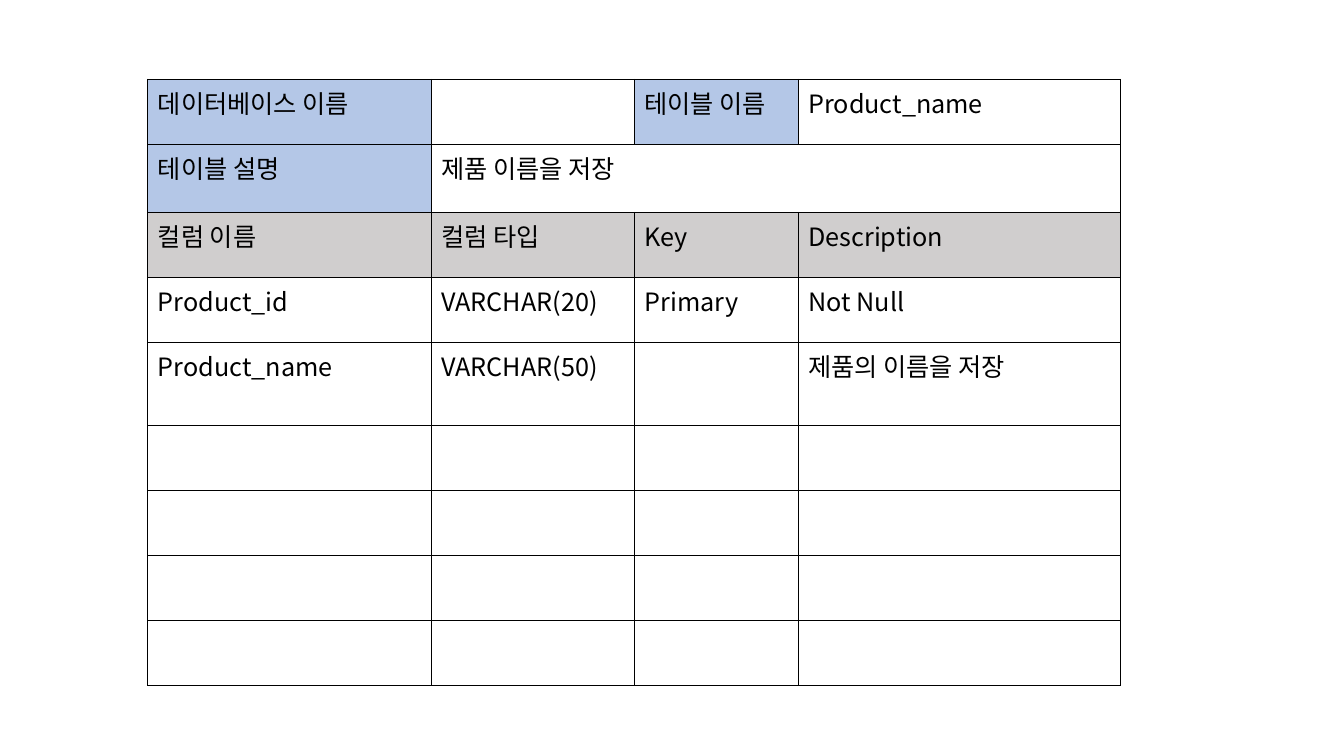
from lxml.etree import SubElement
from pptx import Presentation
from pptx.dml.color import RGBColor as Color
from pptx.oxml.ns import qn
from pptx.util import Inches, Pt

COLORS = {"text": "000000", "border": "000000", "label": "B4C7E7",
          "header": "D0CECE", "plain": "FFFFFF"}
FONT = "Noto Sans CJK KR"

COLUMN_WIDTHS = [21.1, 15.1, 12.2, 24]
ROW_HEIGHTS = [8.6, 9, 8.6, 8.6, 11] + [8.6] * 4
SCHEMA = [
    ["데이터베이스 이름", "", "테이블 이름", "Product_name"],
    ["테이블 설명", "제품 이름을 저장", "", ""],
    ["컬럼 이름", "컬럼 타입", "Key", "Description"],
    ["Product_id", "VARCHAR(20)", "Primary", "Not Null"],
    ["Product_name", "VARCHAR(50)", "", "제품의 이름을 저장"],
] + [[""] * 4] * 4
LABEL_CELLS = {(0, 0), (0, 2), (1, 0)}
HEADER_ROW = 2


def write_text(frame, text, size=18, color="text", font=FONT):
    if not text:
        return
    run = frame.paragraphs[0].add_run()
    run.text = text
    run.font.size = Pt(size)
    run.font.name = font
    run.font.color.rgb = Color.from_string(COLORS[color])
    SubElement(run.font._element, qn("a:ea"), typeface=font)


def cell_style(row, column):
    if row == HEADER_ROW:
        return "header"
    return "label" if (row, column) in LABEL_CELLS else "plain"


class SlideBuilder:
    def __init__(self, presentation):
        self.slide = presentation.slides.add_slide(presentation.slide_layouts[6])
        self.column = presentation.slide_width / 100
        self.row = presentation.slide_height / 100

    def across(self, columns):
        return round(columns * self.column)

    def down(self, rows):
        return round(rows * self.row)

    def borders(self, cell, width=1):
        properties = cell._tc.get_or_add_tcPr()
        for side in ("lnL", "lnR", "lnT", "lnB"):
            line = SubElement(properties, qn(f"a:{side}"), w=str(Pt(width)))
            fill = SubElement(line, qn("a:solidFill"))
            SubElement(fill, qn("a:srgbClr"), val=COLORS["border"])

    def table(self, left, top, widths, heights, texts, merges=()):
        table = self.slide.shapes.add_table(
            len(heights), len(widths), self.across(left), self.down(top),
            self.across(sum(widths)), self.down(sum(heights))).table
        for column, width in zip(table.columns, widths):
            column.width = self.across(width)
        for row, height in zip(table.rows, heights):
            row.height = self.down(height)
        for start, end in merges:
            table.cell(*start).merge(table.cell(*end))
        for row, row_texts in enumerate(texts):
            for column, text in enumerate(row_texts):
                cell = table.cell(row, column)
                self.borders(cell)
                cell.fill.solid()
                cell.fill.fore_color.rgb = Color.from_string(
                    COLORS[cell_style(row, column)])
                write_text(cell.text_frame, text)


def main():
    presentation = Presentation()
    presentation.slide_width = Inches(13.33)
    presentation.slide_height = Inches(7.5)
    builder = SlideBuilder(presentation)
    builder.table(11, 10.5, COLUMN_WIDTHS, ROW_HEIGHTS, SCHEMA,
                  merges=[((1, 1), (1, 3))])
    presentation.save("out.pptx")


if __name__ == "__main__":
    main()
